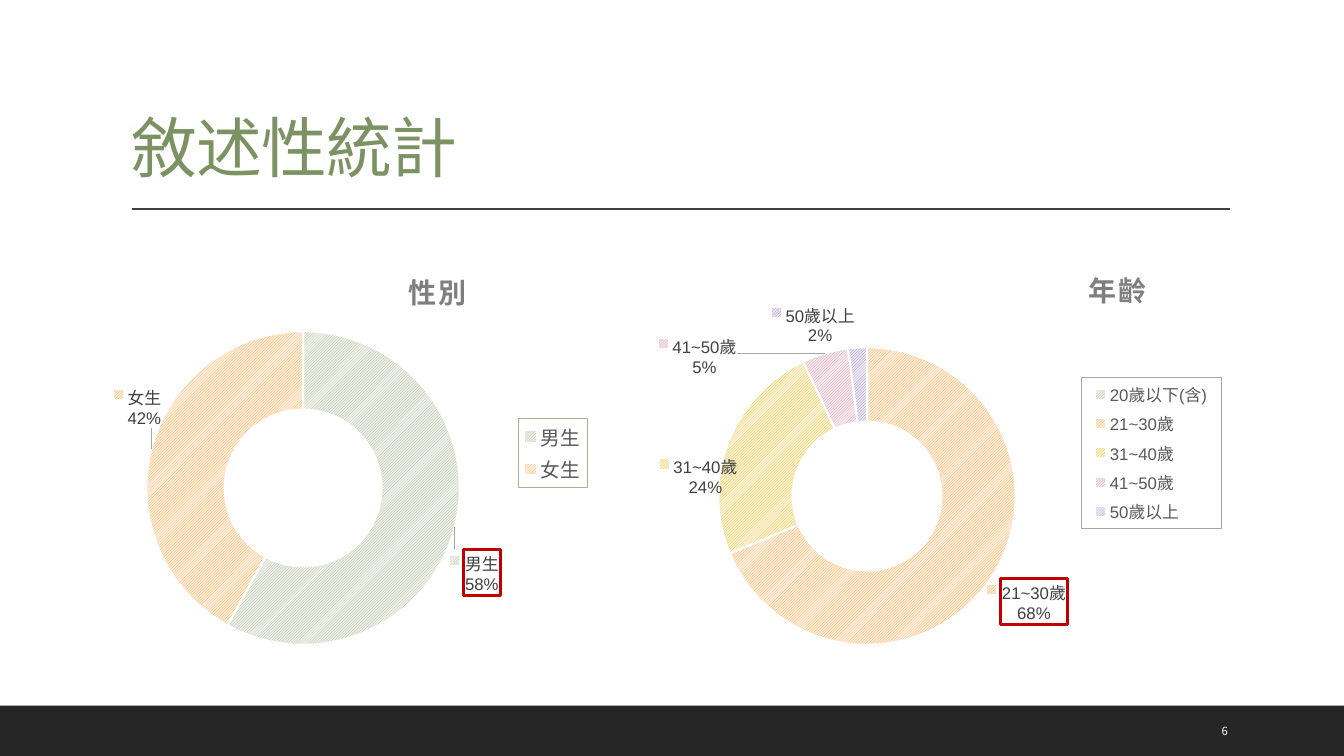
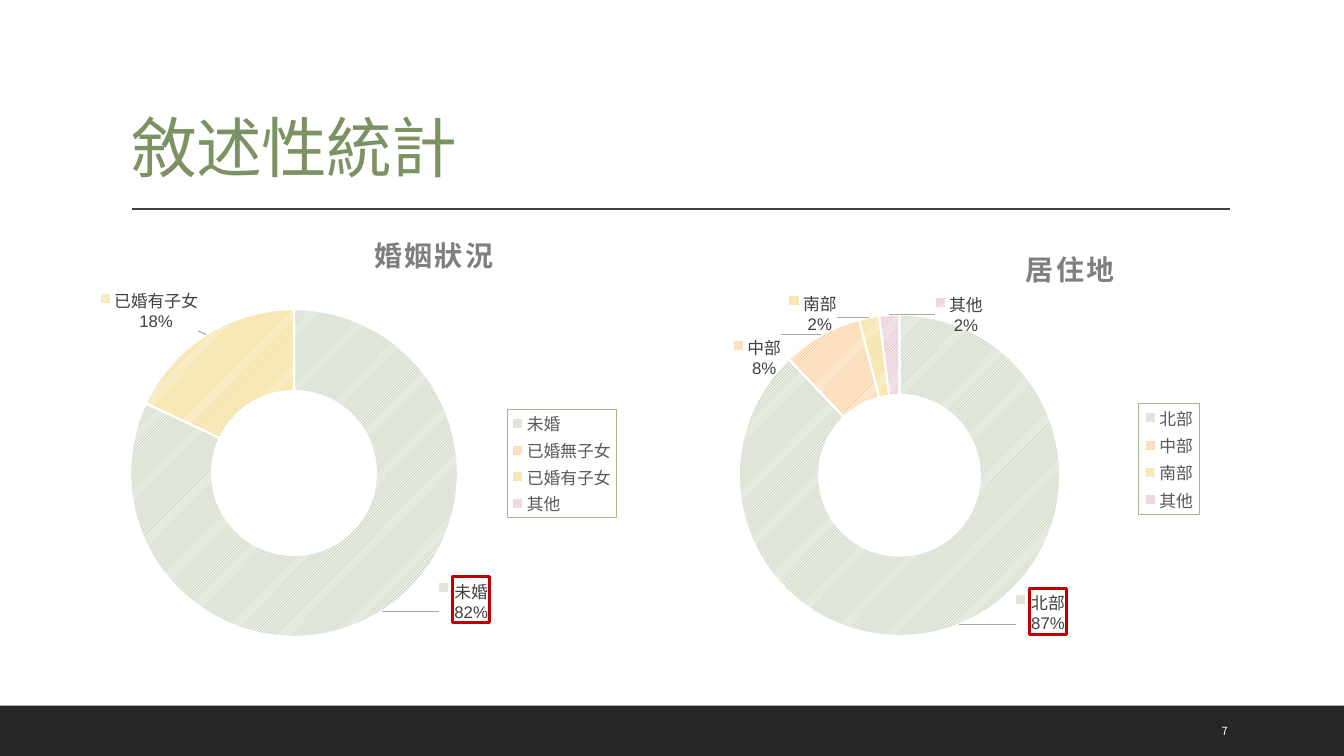
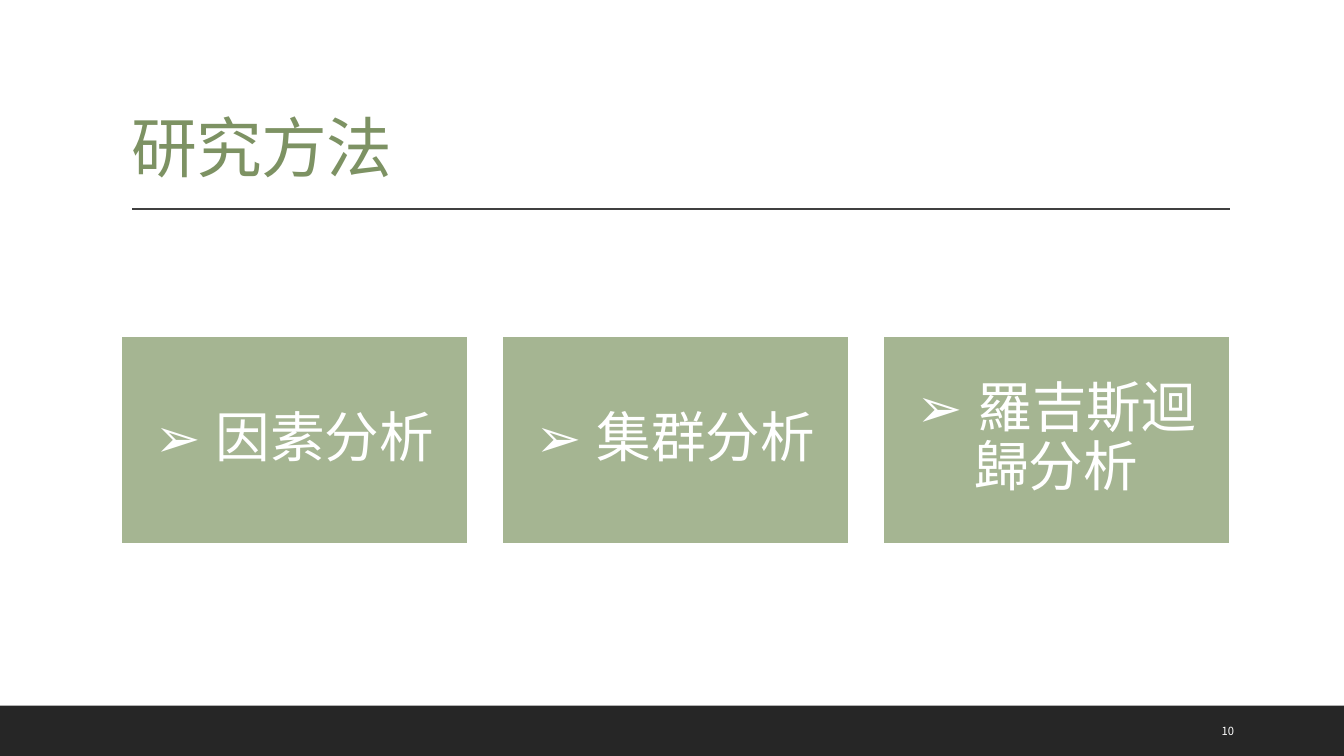
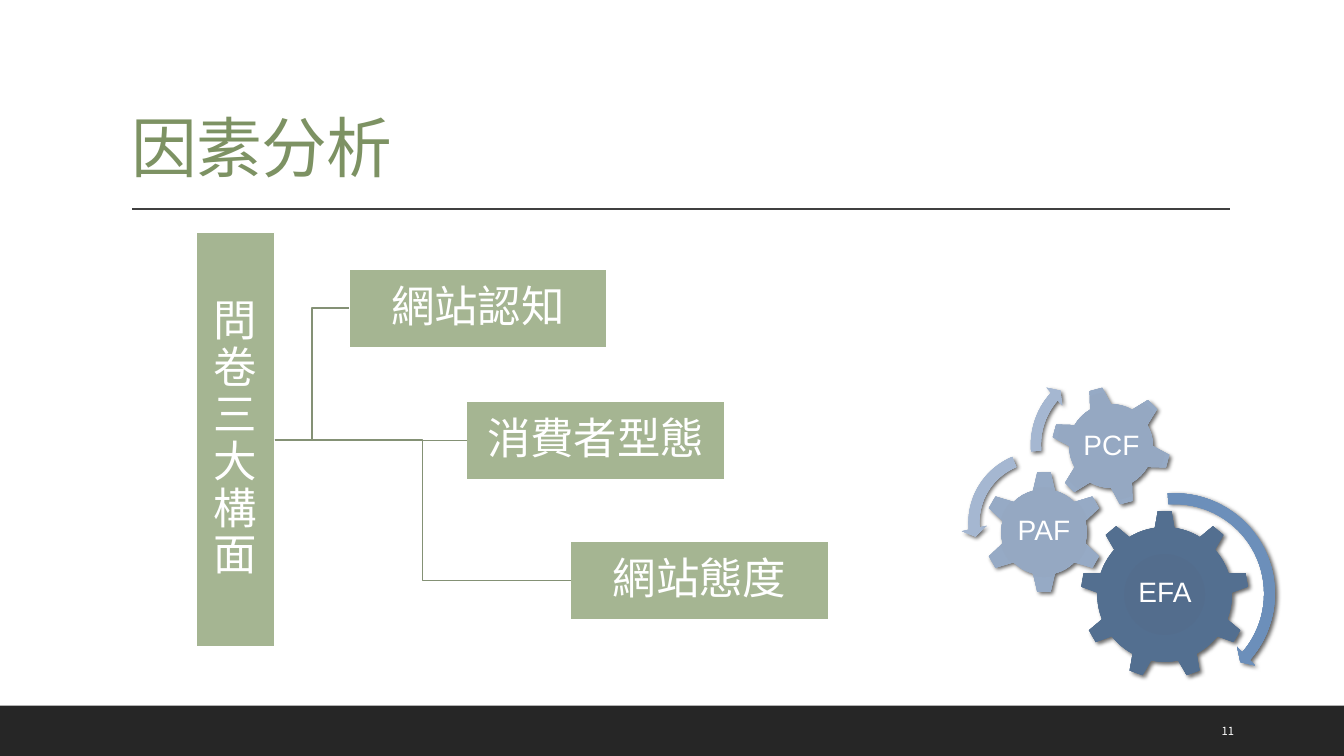
from dataclasses import dataclass

import pptx
import pptx.chart.data
import pptx.dml.color
import pptx.enum.chart
import pptx.enum.dml
import pptx.enum.shapes
import pptx.enum.text
import pptx.oxml
import pptx.oxml.ns
import pptx.util

Cm = pptx.util.Cm
Pt = pptx.util.Pt
qn = pptx.oxml.ns.qn
SHAPE = pptx.enum.shapes.MSO_SHAPE
CONNECTOR = pptx.enum.shapes.MSO_CONNECTOR
ALIGN = pptx.enum.text.PP_ALIGN
ANCHOR = pptx.enum.text.MSO_ANCHOR

SLIDE_SIZE = (33.87, 19.05)
WHITE = "FFFFFF"
BAND = "262626"
RULE = "404040"
TITLE = "7D9263"
SAGE = "A5B592"
BRANCH = "849175"
GRAY = "A6A6A6"
HIGHLIGHT = "C00000"
SLICES = [
    ("A5B592", "EDF0E9"),
    ("F3A447", "FDEDDA"),
    ("E7BC29", "FAF2D4"),
    ("D092A7", "F6E9ED"),
    ("9C85C0", "EBE7F2"),
]
NAVY_STOPS = ["516C8D", "536D8D", "536F90", "5C7592"]
STEEL_STOPS = ["93A6C1", "95A8C2", "96AAC5", "A1B3CB"]
BLUE_STOPS = ["698CB5", "6C8DB6", "6C8FBA", "7797BC"]
PALE_STOPS = ["A1B3CB", "A3B5CD", "A5B7D1", "B0C0D7"]
STOP_POSITIONS = [0, 34, 70, 100]

BODY_FONT = "Arial"
TITLE_FONT = "Noto Sans CJK SC"
NUMBER_FONT = "Noto Sans CJK TC"


@dataclass
class Ring:
    title: str
    frame: tuple
    title_at: tuple
    centre: tuple
    radius: float
    legend: tuple
    slices: list
    legend_size: int = 12
    legend_line: str = SAGE
    hole: int = 65


def color(value):
    return pptx.dml.color.RGBColor.from_string(value)


def xml(text):
    spaces = pptx.oxml.ns.nsdecls("a", "c")
    head, tail = text.split(">", 1)
    slash = "/" if head.endswith("/") else ""
    return pptx.oxml.parse_xml(f"{head.rstrip('/')} {spaces}{slash}>{tail}")


def line_xml(shade, width):
    return (f'<a:ln w="{Pt(width)}"><a:solidFill><a:srgbClr val="{shade}"/>'
            '</a:solidFill></a:ln>')


def add_span(para, text, size, shade, font=BODY_FONT, spacing=0):
    span = para.add_run()
    span.text = text
    span.font.size = Pt(size)
    span.font.name = font
    span.font.color.rgb = color(shade)
    properties = span.font._element
    properties.find(qn("a:latin")).addnext(xml(f'<a:ea typeface="{font}"/>'))
    if spacing:
        properties.set("spc", str(int(spacing * 100)))
    return span


def set_frame(box, anchor, inset=None, wrap=True):
    frame = box.text_frame
    frame.word_wrap = wrap
    frame.vertical_anchor = anchor
    if inset is not None:
        frame.margin_left = frame.margin_right = Cm(inset)
        frame.margin_top = frame.margin_bottom = Cm(inset)
    return frame.paragraphs[0]


def add_box(page, place, anchor=ANCHOR.MIDDLE, inset=None, wrap=True):
    box = page.shapes.add_textbox(*map(Cm, place))
    return set_frame(box, anchor, inset, wrap)


def add_rectangle(page, place, fill, line=None):
    box = page.shapes.add_shape(SHAPE.RECTANGLE, *map(Cm, place))
    box.shadow.inherit = False
    box.fill.solid()
    box.fill.fore_color.rgb = color(fill)
    if line:
        box.line.color.rgb = color(line)
        box.line.width = Pt(1.25)
    else:
        box.line.fill.background()
    return box


def add_card(page, place, text, size, inset):
    box = add_rectangle(page, place, SAGE, WHITE)
    para = set_frame(box, ANCHOR.MIDDLE, inset)
    para.alignment = ALIGN.CENTER
    para.line_spacing = 0.9
    add_span(para, text, size, WHITE)
    return box


def add_line(page, kind, ends, shade, width):
    line = page.shapes.add_connector(kind, *map(Cm, ends))
    line.line.color.rgb = color(shade)
    line.line.width = Pt(width)
    line._element.spPr.append(xml("<a:effectLst/>"))
    return line


def add_page(deck, title, number):
    page = deck.slides.add_slide(deck.slide_layouts[6])
    add_rectangle(page, (0, 17.78, SLIDE_SIZE[0], 1.27), BAND)
    add_line(page, CONNECTOR.STRAIGHT, (3.33, 5.27, 31, 5.27), RULE, 1)
    para = add_box(page, (3.06, 0.79, 27.94, 4.04), ANCHOR.BOTTOM)
    para.line_spacing = 0.9
    add_span(para, title, 47, TITLE, TITLE_FONT, -0.5)
    para = add_box(page, (30.54, 17.91, 2.16, 1.02))
    add_span(para, str(number), 8, WHITE, NUMBER_FONT)
    return page


def place_part(part, frame, left, top, size=None, inner=False):
    frame_left, frame_top, width, height = frame
    values = [("x", (left - frame_left) / width), ("y", (top - frame_top) / height)]
    if size:
        values += [("w", size[0] / width), ("h", size[1] / height)]
    target = '<c:layoutTarget val="inner"/>' if inner else ""
    modes = '<c:xMode val="edge"/><c:yMode val="edge"/>'
    numbers = "".join(f'<c:{key} val="{value:.4f}"/>' for key, value in values)
    layout = xml(f"<c:layout><c:manualLayout>{target}{modes}{numbers}"
                 "</c:manualLayout></c:layout>")
    for old in part.findall(qn("c:layout")):
        part.remove(old)
    overlay = part.find(qn("c:overlay"))
    if overlay is None:
        part.insert(0, layout)
    else:
        overlay.addprevious(layout)


def label_xml(index, offset, frame, style, flags, border):
    if offset is None:
        return f'<c:dLbl><c:idx val="{index}"/><c:delete val="1"/></c:dLbl>'
    x, y = offset[0] / frame[2], offset[1] / frame[3]
    number_format, text = style
    outline = f"<c:spPr>{line_xml(HIGHLIGHT, 2.25)}</c:spPr>" if border else ""
    return (f'<c:dLbl><c:idx val="{index}"/><c:layout><c:manualLayout>'
            f'<c:x val="{x:.4f}"/><c:y val="{y:.4f}"/></c:manualLayout></c:layout>'
            f"{number_format}{outline}{text}{flags}</c:dLbl>")


def add_labels(series, ring):
    style = (
        '<c:numFmt formatCode="0&quot;%&quot;" sourceLinked="0"/>',
        '<c:txPr><a:bodyPr/><a:p><a:pPr><a:defRPr sz="1200"><a:solidFill>'
        f'<a:srgbClr val="{RULE}"/></a:solidFill><a:latin typeface="{BODY_FONT}"/>'
        '</a:defRPr></a:pPr><a:endParaRPr lang="zh-TW"/></a:p></c:txPr>',
    )
    shown = {"LegendKey": 1, "Val": 1, "CatName": 1, "SerName": 0,
             "Percent": 0, "BubbleSize": 0}
    flags = "".join(f'<c:show{key} val="{value}"/>' for key, value in shown.items())
    flags += "<c:separator>\n</c:separator>"
    largest = max(value for _, value, _ in ring.slices)
    labels = "".join(
        label_xml(index, offset, ring.frame, style, flags, value == largest)
        for index, (_, value, offset) in enumerate(ring.slices))
    leaders = ('<c:showLeaderLines val="1"/><c:leaderLines><c:spPr>'
               f"{line_xml(GRAY, 0.75)}</c:spPr></c:leaderLines>")
    element = xml(f"<c:dLbls>{labels}{''.join(style)}{flags}{leaders}</c:dLbls>")
    series._element.find(qn("c:cat")).addprevious(element)


def add_ring(page, ring):
    data = pptx.chart.data.CategoryChartData()
    data.categories = [name for name, _, _ in ring.slices]
    data.add_series("Series 1", [value for _, value, _ in ring.slices])
    kind = pptx.enum.chart.XL_CHART_TYPE.DOUGHNUT
    chart = page.shapes.add_chart(kind, *map(Cm, ring.frame), data).chart
    chart.font.size = Pt(10)
    chart.font.name = BODY_FONT
    chart.font.color.rgb = color("000000")

    plot = chart.plots[0]
    plot.vary_by_categories = True
    chart.element.xpath(".//c:holeSize")[0].set("val", str(ring.hole))
    series = plot.series[0]
    for index, (front, back) in enumerate(SLICES[:len(ring.slices)]):
        look = series.points[index].format
        look.fill.patterned()
        look.fill.pattern = pptx.enum.dml.MSO_PATTERN.LIGHT_UPWARD_DIAGONAL
        look.fill.fore_color.rgb = color(front)
        look.fill.back_color.rgb = color(back)
        look.line.color.rgb = color(WHITE)
        look.line.width = Pt(1.5)
    add_labels(series, ring)

    chart.has_title = True
    para = chart.chart_title.text_frame.paragraphs[0]
    add_span(para, ring.title, 20, "7F7F7F", spacing=1.5).font.bold = True

    chart.has_legend = True
    legend = chart.legend
    legend.position = pptx.enum.chart.XL_LEGEND_POSITION.RIGHT
    legend.include_in_layout = False
    legend.font.size = Pt(ring.legend_size)
    legend.font.name = BODY_FONT
    legend.font.color.rgb = color("595959")

    title_part = chart.element.xpath("c:chart/c:title")[0]
    plot_part = chart.element.xpath("c:chart/c:plotArea")[0]
    legend_part = chart.element.xpath("c:chart/c:legend")[0]
    place_part(title_part, ring.frame, *ring.title_at)
    corner = [middle - ring.radius for middle in ring.centre]
    place_part(plot_part, ring.frame, *corner, [2 * ring.radius] * 2, inner=True)
    place_part(legend_part, ring.frame, *ring.legend[:2], ring.legend[2:])
    legend_part.find(qn("c:overlay")).addnext(
        xml(f"<c:spPr>{line_xml(ring.legend_line, 0.75)}</c:spPr>"))


def add_gear_part(page, kind, left, top, size, stops, rotation=0, adjustments=()):
    shape = page.shapes.add_shape(kind, Cm(left), Cm(top), Cm(size), Cm(size))
    shape.rotation = rotation
    for index, value in enumerate(adjustments):
        shape.adjustments[index] = value
    shape.line.fill.background()
    shape.shadow.inherit = False
    marks = "".join(
        f'<a:gs pos="{position * 1000}"><a:srgbClr val="{shade}"/></a:gs>'
        for position, shade in zip(STOP_POSITIONS, stops))
    properties = shape._element.spPr
    properties.find(qn("a:ln")).addprevious(xml(
        f'<a:gradFill rotWithShape="1"><a:gsLst>{marks}</a:gsLst><a:path path="circle">'
        '<a:fillToRect l="100000" t="100000" r="100000" b="100000"/>'
        "</a:path></a:gradFill>"))
    properties.find(qn("a:effectLst")).append(xml(
        f'<a:outerShdw blurRad="{Pt(3)}" dist="{Pt(2)}" dir="2700000" rotWithShape="0">'
        '<a:srgbClr val="000000"><a:alpha val="60000"/></a:srgbClr></a:outerShdw>'))


def add_gear_name(page, place, text):
    para = add_box(page, place, inset=0.08, wrap=False)
    para.alignment = ALIGN.CENTER
    para.line_spacing = 0.9
    add_span(para, text, 20, WHITE)


def add_gears(page):
    add_gear_part(page, SHAPE.GEAR_9, 27.23, 12.86, 4.24, NAVY_STOPS)
    add_gear_part(page, SHAPE.GEAR_6, 24.77, 11.87, 3.08, STEEL_STOPS)
    add_gear_part(page, SHAPE.GEAR_6, 26.49, 9.73, 3.02, STEEL_STOPS, 345)
    add_gear_name(page, (28.09, 13.87, 2.54, 2.18), "EFA")
    add_gear_name(page, (25.55, 12.64, 1.52, 1.52), "PAF")
    add_gear_name(page, (27.16, 10.39, 1.7, 1.7), "PCF")
    add_gear_part(page, SHAPE.CIRCULAR_ARROW, 26.88, 12.24, 5.44, BLUE_STOPS,
                  adjustments=(0.05, 2.99, 24.69, 159.67, 0.06))
    add_gear_part(page, SHAPE.LEFT_CIRCULAR_ARROW, 24.23, 11.2, 3.94, PALE_STOPS,
                  adjustments=(0.07, 4.3, 104.89, 148.38, 0.08))
    add_gear_part(page, SHAPE.CIRCULAR_ARROW, 25.81, 9.09, 4.24, PALE_STOPS,
                  adjustments=(0.06, 3.94, 133.14, 105.08, 0.07))


def add_methods(page, names):
    for index, name in enumerate(names):
        add_card(page, (3.05 + 9.6 * index, 8.46, 8.74, 5.24), f"➢ {name}", 39, 0.41)


def add_tree(page, root_name, branches):
    root = add_card(page, (4.94, 5.86, 1.98, 10.44), root_name, 31, 0.05)
    for left, top, name in branches:
        branch = add_card(page, (left, top, 6.5, 1.98), name, 31, 0.05)
        line = add_line(page, CONNECTOR.ELBOW, (0, 0, 1, 1), BRANCH, 1.25)
        line.begin_connect(root, 3)
        line.end_connect(branch, 1)


def main():
    deck = pptx.Presentation()
    deck.slide_width, deck.slide_height = map(Cm, SLIDE_SIZE)

    page = add_page(deck, "敘述性統計", 6)
    add_ring(page, Ring(
        "性別", (2.26, 6.2, 12.75, 10.41), (10.16, 6.8), (7.64, 12.3), 3.95,
        (13.06, 10.54, 1.75, 1.74),
        [("男生", 58, (1.46, 1.39)), ("女生", 42, (-1.31, -1.33))],
        legend_size=14))
    add_ring(page, Ring(
        "年齡", (16.31, 6.2, 14.68, 10.41), (27.3, 6.75), (21.85, 12.5), 3.75,
        (27.25, 9.51, 3.54, 3.8),
        [("20歲以下(含)", 0, None), ("21~30歲", 68, (1.69, 1.1)),
         ("31~40歲", 24, (-1.62, 0.48)), ("41~50歲", 5, (-3.48, -0.86)),
         ("50歲以上", 2, (-1.18, -1.54))],
        legend_line=GRAY, hole=70))

    page = add_page(deck, "敘述性統計", 7)
    add_ring(page, Ring(
        "居住地", (16.03, 5.72, 14.96, 10.67), (25.73, 6.22), (22.67, 11.98), 4.05,
        (28.69, 10.16, 1.55, 2.81),
        [("北部", 87, (2.44, 0.61)), ("中部", 8, (-2.11, -0.35)),
         ("南部", 2, (-1.61, -1.14)), ("其他", 2, (1.69, -1.05))]))
    add_ring(page, Ring(
        "婚姻狀況", (1.75, 5.49, 14.27, 10.92), (9.3, 5.87), (7.41, 11.92), 4.13,
        (12.78, 10.31, 2.76, 2.74),
        [("未婚", 82, (2.63, 0.58)), ("已婚無子女", 0, None),
         ("已婚有子女", 18, (-1.99, -1.51)), ("其他", 0, None)]))

    page = add_page(deck, "研究方法", 10)
    add_methods(page, ["因素分析", "集群分析", "羅吉斯迴歸分析"])

    page = add_page(deck, "因素分析", 11)
    add_tree(page, "問卷三大構面", [
        (8.79, 6.78, "網站認知"),
        (11.76, 10.11, "消費者型態"),
        (14.38, 13.64, "網站態度"),
    ])
    add_gears(page)

    deck.save("out.pptx")


if __name__ == "__main__":
    main()
